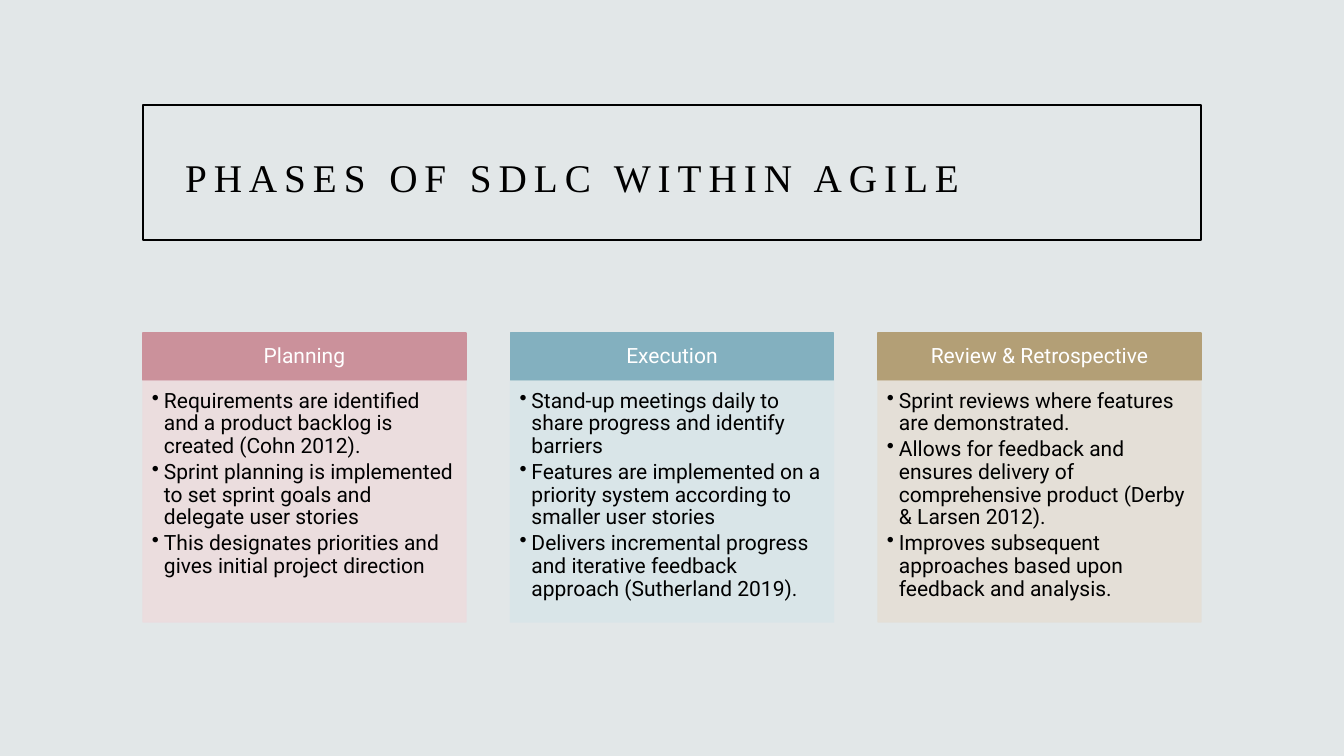
from pptx import Presentation, util as u
from pptx.dml.color import RGBColor
from pptx.enum import shapes, text
from pptx.oxml import parse_xml
from pptx.oxml.ns import nsdecls, qn

# Content
TITLE = "PHASES OF SDLC WITHIN AGILE"
BACK = RGBColor(0xE2, 0xE7, 0xE8)
BLACK = RGBColor(0, 0, 0)
WHITE = RGBColor(0xFF, 0xFF, 0xFF)
ROSE, PINK = RGBColor(0xCB, 0x91, 0x9B), RGBColor(0xEC, 0xDC, 0xDE)
TEAL, MIST = RGBColor(0x83, 0xB0, 0xBF), RGBColor(0xD9, 0xE5, 0xE8)
TAN, SAND = RGBColor(0xB3, 0x9F, 0x76), RGBColor(0xE5, 0xDF, 0xD6)

PHASES = [
    ("Planning", ROSE, PINK, [
        "Requirements are identified and a product backlog is created (Cohn 2012).",
        "Sprint planning is implemented to set sprint goals and delegate user stories",
        "This designates priorities and gives initial project direction"]),
    ("Execution", TEAL, MIST, [
        "Stand-up meetings daily to share progress and identify barriers",
        "Features are implemented on a priority system according to smaller user stories",
        "Delivers incremental progress and iterative feedback approach (Sutherland 2019)."]),
    ("Review & Retrospective", TAN, SAND, [
        "Sprint reviews where features are demonstrated.",
        "Allows for feedback and ensures delivery of comprehensive product (Derby & Larsen 2012).",
        "Improves subsequent approaches based upon feedback and analysis."]),
]

# Layout in px
WIDE, HIGH = 1344, 756
FRAME = (143, 105, 1058, 135)
HEADING = (175, 135, 1041, 75)
CARD, HEAD_TOP, HEAD_H, BODY_TOP, BODY_H = 323, 333, 47, 381, 241
STEP = CARD + (FRAME[2] - len(PHASES) * CARD) / (len(PHASES) - 1)
INDENT = 12

# Formats
HEAD_FRAME = dict(vertical_anchor=text.MSO_ANCHOR.MIDDLE, margin_left=12,
                  margin_top=7, margin_right=12, margin_bottom=7)
BODY_FRAME = dict(vertical_anchor=text.MSO_ANCHOR.TOP, margin_left=9,
                  margin_top=9, margin_right=12, margin_bottom=13)
HEAD_PARA = dict(alignment=text.PP_ALIGN.CENTER, line_spacing=0.9)
BODY_PARA = dict(alignment=text.PP_ALIGN.LEFT, line_spacing=0.9,
                 space_after=u.Pt(2.25), level=1)


def px(n):
    return u.Emu(round(n * 914400 / 100.8))


def apply(item, form):
    for key, value in form.items():
        setattr(item, key, px(value) if key.startswith("margin") else value)


def style(font, name, size, color):
    apply(font, dict(name=name, size=u.Pt(size)))
    font.color.rgb = color


def add_box(slide, area, fill, line):
    box = slide.shapes.add_shape(shapes.MSO_SHAPE.RECTANGLE, *map(px, area))
    box.shadow.inherit = False
    if fill is None:
        box.fill.background()
    else:
        box.fill.solid()
        box.fill.fore_color.rgb = fill
    box.line.color.rgb = line
    box.line.width = u.Pt(1)
    return box


def write(box, lines, frame, para, color):
    tf = box.text_frame
    tf.word_wrap = True
    apply(tf, frame)
    tf.text = "\n".join(lines)
    for p in tf.paragraphs:
        apply(p, para)
        style(p.runs[0].font, "Roboto", 15, color)


def fade(box, percent):
    for clr in box._element.spPr.iter(qn("a:srgbClr")):
        clr.append(parse_xml(f'<a:alpha {nsdecls("a")} val="{percent * 1000}"/>'))


def add_bullets(box):
    for p in box.text_frame.paragraphs:
        props = p._p.get_or_add_pPr()
        props.set("marL", str(px(INDENT)))
        props.set("indent", str(-px(INDENT)))
        props.append(parse_xml(f'<a:buChar {nsdecls("a")} char="•"/>'))


def main():
    prs = Presentation()
    prs.slide_width, prs.slide_height = px(WIDE), px(HIGH)
    slide = prs.slides.add_slide(prs.slide_layouts[5])
    slide.background.fill.solid()
    slide.background.fill.fore_color.rgb = BACK

    # Title and its frame
    add_box(slide, FRAME, None, BLACK)
    title = slide.shapes.title
    apply(title, dict(zip(("left", "top", "width", "height"), map(px, HEADING))))
    tf = title.text_frame
    tf.text = TITLE
    apply(tf, dict(word_wrap=True, auto_size=text.MSO_AUTO_SIZE.NONE,
                   vertical_anchor=text.MSO_ANCHOR.MIDDLE))
    p = tf.paragraphs[0]
    apply(p, dict(alignment=text.PP_ALIGN.LEFT, line_spacing=1.2))
    style(p.runs[0].font, "Times New Roman", 28, BLACK)
    p.runs[0]._r.get_or_add_rPr().set("spc", "500")

    # Phase cards
    for i, (name, dark, light, points) in enumerate(PHASES):
        left = FRAME[0] + i * STEP
        head = add_box(slide, (left, HEAD_TOP, CARD, HEAD_H), dark, dark)
        write(head, [name], HEAD_FRAME, HEAD_PARA, WHITE)
        body = add_box(slide, (left, BODY_TOP, CARD, BODY_H), light, light)
        fade(body, 90)
        write(body, points, BODY_FRAME, BODY_PARA, BLACK)
        add_bullets(body)

    prs.save("out.pptx")


if __name__ == "__main__":
    main()
